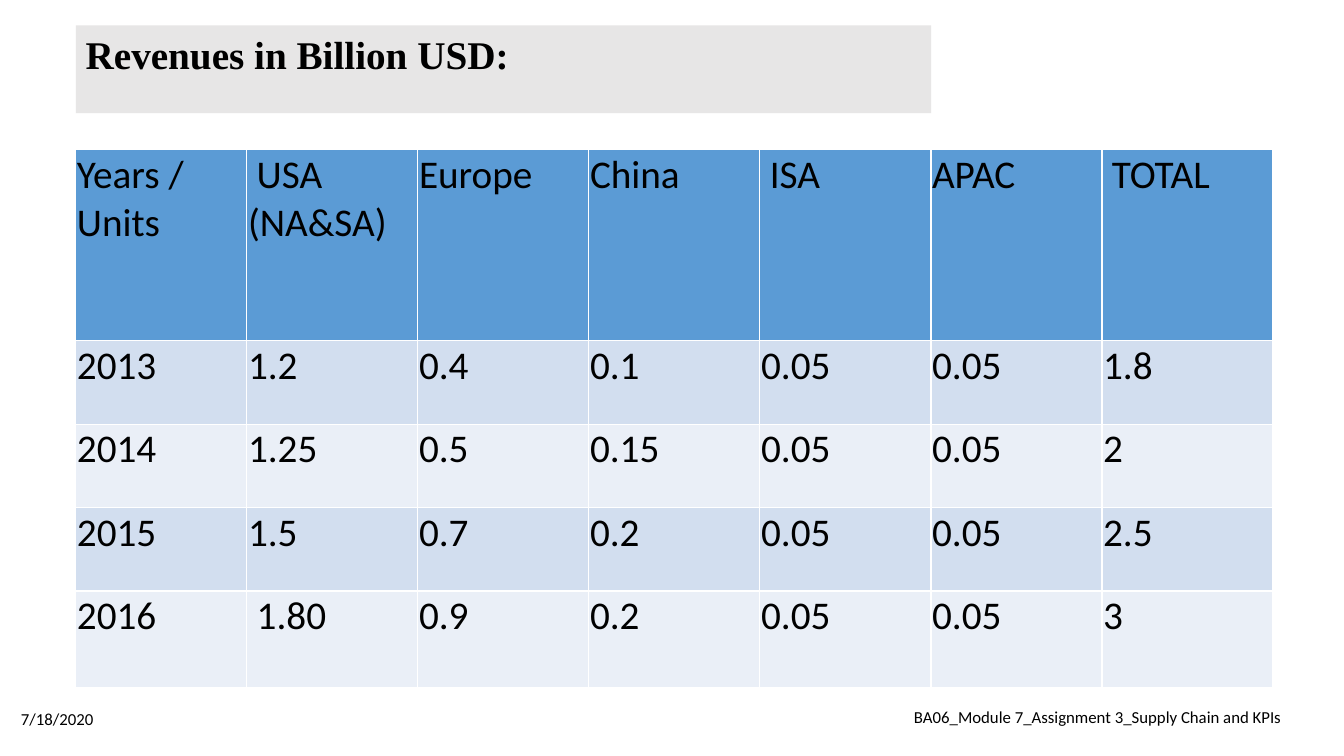
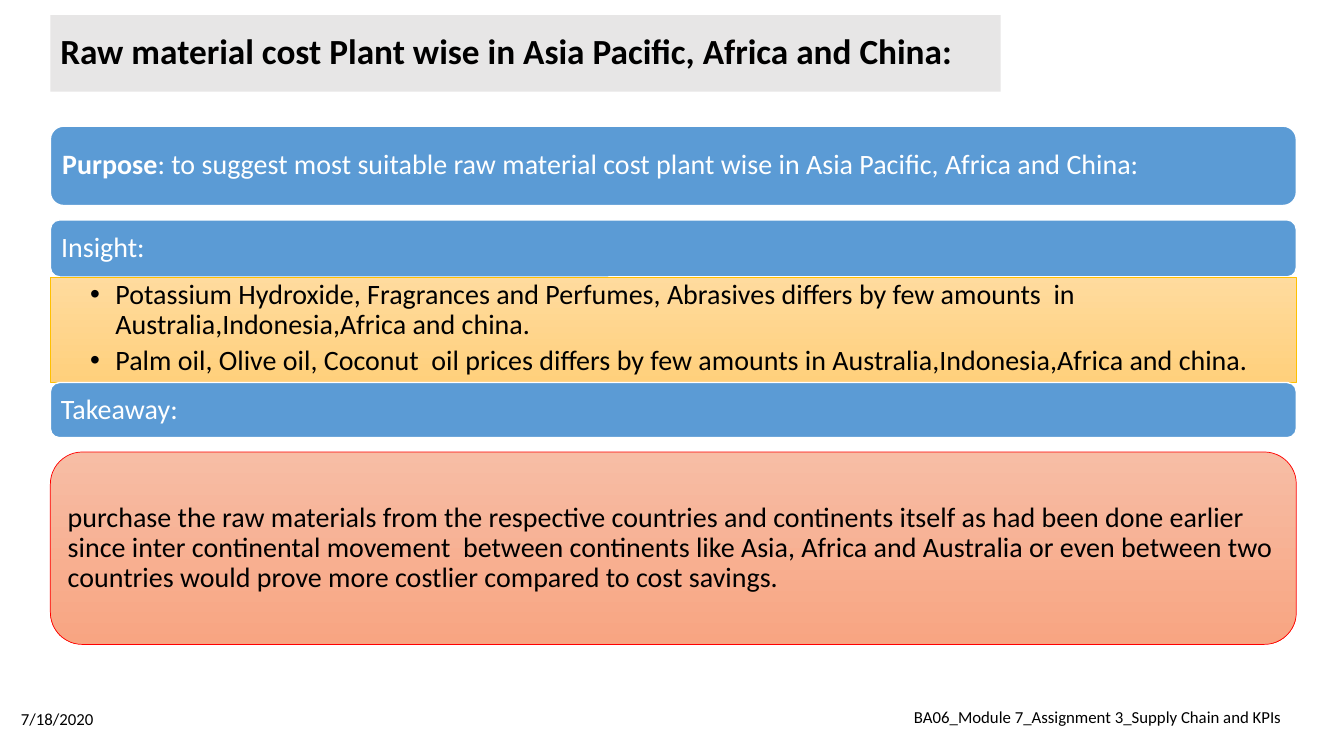
"""Build two slides: a regional revenue table and a raw material cost summary."""
from dataclasses import dataclass

from lxml import etree
from pptx import Presentation
from pptx import util as u
from pptx.dml.color import RGBColor
from pptx.enum import shapes, text
from pptx.oxml import ns

Cm, Pt = u.Cm, u.Pt


@dataclass(frozen=True)
class Theme:
    black: str = "000000"
    white: str = "FFFFFF"
    grey: str = "E7E6E6"
    blue: str = "5B9BD5"
    bands: tuple[str, str] = ("D2DEEF", "EAEFF7")
    amber: tuple[str, str] = ("FFDB9E", "FFD07C")
    amber_line: str = "FFC000"
    coral: tuple[str, str] = ("F7BDA5", "F8A582")
    red_line: str = "FF0000"
    body_font: str = "Calibri"
    serif_font: str = "Times New Roman"
    table_size: float = 28
    panel_size: float = 20
    footer_size: float = 12


@dataclass(frozen=True)
class Box:
    left: float
    top: float
    width: float
    height: float

    def lengths(self) -> tuple:
        return tuple(Cm(n) for n in (self.left, self.top, self.width, self.height))


@dataclass(frozen=True)
class Title:
    wording: str
    box: Box
    size: float
    font: str
    anchor: text.MSO_ANCHOR = text.MSO_ANCHOR.MIDDLE


@dataclass(frozen=True)
class Panel:
    height: float
    paragraphs: tuple[str, ...]
    gap_after: float = 0
    lead: str = ""
    bulleted: bool = False
    fill: tuple[str, ...] = ("5B9BD5",)
    line: str = "FFFFFF"
    line_width: float = 1
    color: str = "FFFFFF"


THEME = Theme()
FOOTERS = (
    ("7/18/2020", Box(0.28, 17.6, 7.62, 1.02), text.PP_ALIGN.LEFT),
    ("BA06_Module 7_Assignment 3_Supply Chain and KPIs",
     Box(21.95, 17.55, 11.43, 1.02), text.PP_ALIGN.CENTER),
)
REVENUE_TITLE = Title("Revenues in Billion USD:", Box(1.91, 0.64, 21.56, 2.21),
                      28, THEME.serif_font, text.MSO_ANCHOR.TOP)
COST_TITLE = Title("Raw material cost Plant wise in Asia Pacific, Africa and China:",
                   Box(1.27, 0.38, 23.95, 1.93), 25.2, THEME.body_font)
REVENUES = (
    ("Years / Units", "USA (NA&SA)", "Europe", "China", "ISA", "APAC", "TOTAL"),
    ("2013", "1.2", "0.4", "0.1", "0.05", "0.05", "1.8"),
    ("2014", "1.25", "0.5", "0.15", "0.05", "0.05", "2"),
    ("2015", "1.5", "0.7", "0.2", "0.05", "0.05", "2.5"),
    ("2016", "1.80", "0.9", "0.2", "0.05", "0.05", "3"),
)
INDENTED = {"USA (NA&SA)", "ISA", "TOTAL", "1.80"}
ROW_HEIGHTS = (4.82, 2.1, 2.1, 2.1, 2.44)
PANELS = (
    Panel(2, (": to suggest most suitable raw material cost plant wise in Asia Pacific, "
              "Africa and China:",), gap_after=0.36, lead="Purpose"),
    Panel(1.44, ("Insight:",)),
    Panel(2.66, (
        "Potassium Hydroxide, Fragrances and Perfumes, Abrasives differs by few amounts  in "
        "Australia,Indonesia,Africa and china.",
        "Palm oil, Olive oil, Coconut  oil prices differs by few amounts in "
        "Australia,Indonesia,Africa and china.",
    ), bulleted=True, fill=THEME.amber, line=THEME.amber_line, line_width=0.5,
        color=THEME.black),
    Panel(1.39, ("Takeaway:",), gap_after=0.36),
    Panel(4.85, (
        "purchase the raw materials from the respective countries and continents itself as "
        "had been done earlier since inter continental movement  between continents like "
        "Asia, Africa and Australia or even between two countries would prove more costlier "
        "compared to cost savings.",
    ), fill=THEME.coral, line=THEME.red_line, line_width=0.5, color=THEME.black),
)


def write(paragraph, wording: str, *, size: float, font: str = THEME.body_font,
          color: str = THEME.black, bold: bool = False, lead: str = "",
          align=text.PP_ALIGN.LEFT, spacing: float = 1, after: float = 0,
          margin: float = 0, indent: float = 0, bullet: str = "") -> None:
    """Write one paragraph, with an optional bold lead, in the given format."""
    properties = paragraph._p.get_or_add_pPr()
    properties.set("marL", str(Cm(margin)))
    properties.set("indent", str(Cm(indent)))
    if bullet:
        etree.SubElement(properties, ns.qn("a:buFont")).set("typeface", "Arial")
        etree.SubElement(properties, ns.qn("a:buChar")).set("char", bullet)
    paragraph.alignment = align
    paragraph.line_spacing = spacing
    paragraph.space_after = Pt(after)
    for part, weight in ((lead, True), (wording, bold)):
        if part:
            run = paragraph.add_run()
            run.text = part
            run.font.name = font
            run.font.size = Pt(size)
            run.font.bold = weight
            run.font.color.rgb = RGBColor.from_string(color)


def set_frame(frame, anchor=text.MSO_ANCHOR.MIDDLE,
              insets: tuple[float, ...] = (0.25, 0.13, 0.25, 0.13)) -> None:
    """Set wrapping, anchor and insets of a text frame."""
    frame.word_wrap = True
    frame.vertical_anchor = anchor
    (frame.margin_left, frame.margin_top,
     frame.margin_right, frame.margin_bottom) = (Cm(inset) for inset in insets)


def paint(fill, colors: tuple[str, ...]) -> None:
    """Fill with one colour, or with a gradient from top to bottom."""
    if len(colors) == 1:
        fill.solid()
        fill.fore_color.rgb = RGBColor.from_string(colors[0])
        return
    fill.gradient()
    fill.gradient_angle = 270
    for stop, color in zip(fill.gradient_stops, colors):
        stop.color.rgb = RGBColor.from_string(color)


def start_slide(deck, title: Title):
    """Add a blank slide with its title band and footers."""
    slide = deck.slides.add_slide(deck.slide_layouts[6])
    band = slide.shapes.add_textbox(*title.box.lengths())
    paint(band.fill, (THEME.grey,))
    set_frame(band.text_frame, title.anchor, (0.25, 0.25, 0.25, 0.25))
    write(band.text_frame.paragraphs[0], title.wording, size=title.size,
          font=title.font, bold=True, spacing=0.9)
    for wording, box, align in FOOTERS:
        footer = slide.shapes.add_textbox(*box.lengths()).text_frame
        set_frame(footer)
        write(footer.paragraphs[0], wording, size=THEME.footer_size, align=align)
    return slide


def draw_revenues(slide) -> None:
    """Draw the table of revenues by year and region."""
    box = Box(1.91, 3.77, 30.17, sum(ROW_HEIGHTS))
    revenues = slide.shapes.add_table(len(REVENUES), len(REVENUES[0]), *box.lengths()).table
    for column in revenues.columns:
        column.width = Cm(box.width / len(REVENUES[0]))
    for row, (height, entries) in enumerate(zip(ROW_HEIGHTS, REVENUES)):
        revenues.rows[row].height = Cm(height)
        shade = THEME.bands[(row - 1) % 2] if row else THEME.blue
        for column, entry in enumerate(entries):
            cell = revenues.cell(row, column)
            paint(cell.fill, (shade,))
            cell.margin_left = cell.margin_top = cell.margin_right = Cm(0.03)
            cell.margin_bottom = 0
            write(cell.text_frame.paragraphs[0], entry, size=THEME.table_size,
                  indent=0.22 if entry in INDENTED else 0)


def draw_panels(slide) -> None:
    """Stack the purpose, insight and takeaway panels."""
    top = 3.18
    for panel in PANELS:
        outline = (shapes.MSO_SHAPE.RECTANGLE if panel.bulleted
                   else shapes.MSO_SHAPE.ROUNDED_RECTANGLE)
        block = slide.shapes.add_shape(outline, *Box(1.27, top, 31.4, panel.height).lengths())
        block.shadow.inherit = False
        paint(block.fill, panel.fill)
        block.line.color.rgb = RGBColor.from_string(panel.line)
        block.line.width = Pt(panel.line_width)
        frame = block.text_frame
        layout = {}
        if panel.bulleted:
            set_frame(frame, text.MSO_ANCHOR.TOP, (1, 0.08, 0.4, 0.08))
            layout = {"margin": 0.64, "indent": -0.64, "bullet": "•", "after": 4}
        else:
            set_frame(frame, insets=(0.2, 0.2, 0.2, 0.2))
        for number, wording in enumerate(panel.paragraphs):
            paragraph = frame.add_paragraph() if number else frame.paragraphs[0]
            write(paragraph, wording, size=THEME.panel_size, color=panel.color,
                  lead=panel.lead, spacing=0.9, **layout)
        top += panel.height + panel.gap_after


def main() -> None:
    """Build and save the presentation."""
    deck = Presentation()
    deck.slide_width, deck.slide_height = Cm(33.87), Cm(19.05)
    draw_revenues(start_slide(deck, REVENUE_TITLE))
    draw_panels(start_slide(deck, COST_TITLE))
    deck.save("out.pptx")


if __name__ == "__main__":
    main()
